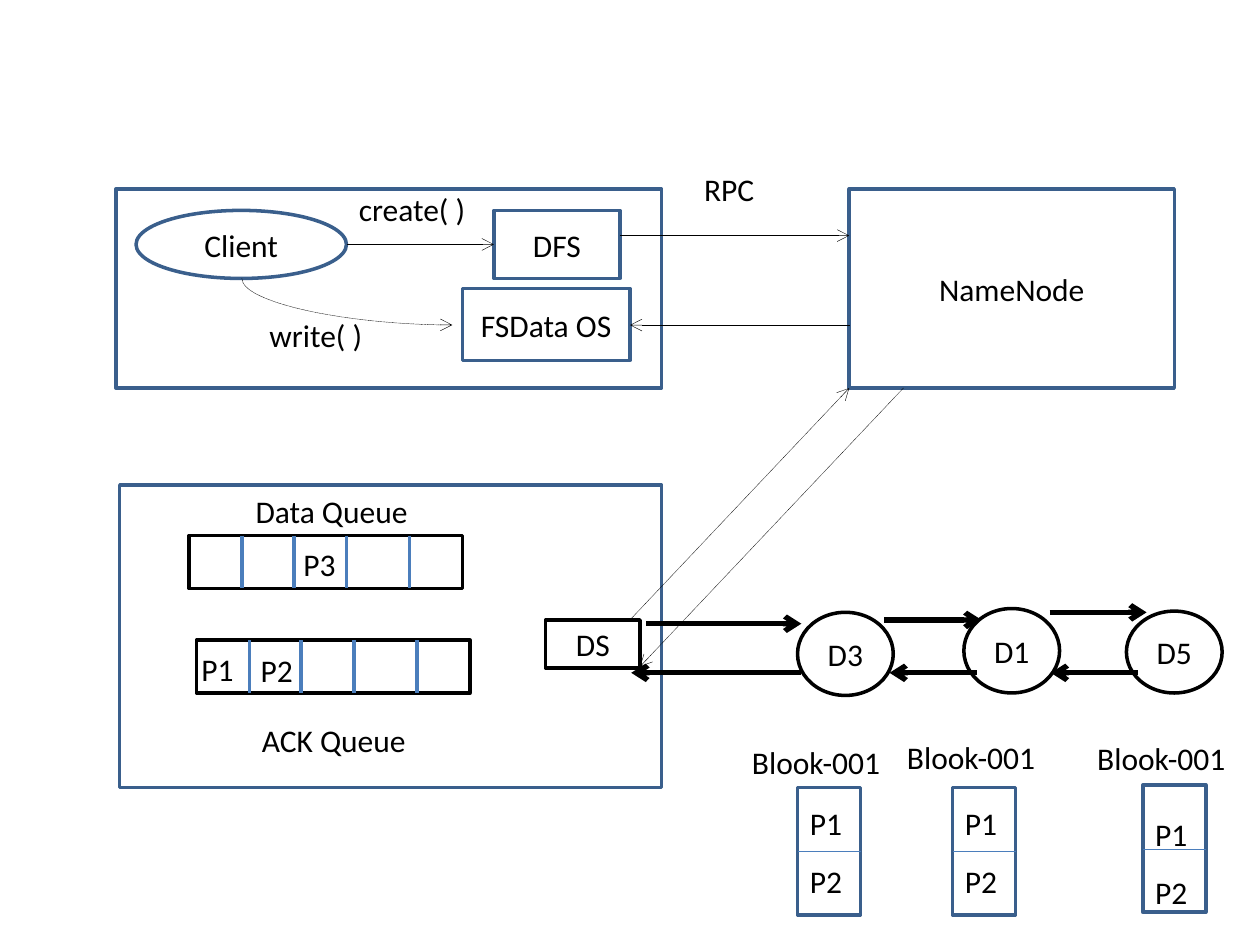
"""Build a slide showing how a client writes a block through queues and data nodes."""
from lxml.etree import SubElement
from pptx import Presentation
from pptx.dml.color import RGBColor
from pptx.enum.dml import MSO_LINE
from pptx.enum.shapes import MSO_CONNECTOR, MSO_SHAPE
from pptx.enum.text import MSO_ANCHOR, MSO_AUTO_SIZE, PP_ALIGN
from pptx.oxml.ns import qn
from pptx.util import Inches, Pt

THEME = dict(font="Calibri", size=18, ink="000000", paper="FFFFFF", edge="3A5F8C",
             rule="4B7EBC", thin=0.25, hair=0.75, frame=2, split=2.25, bold=3)
RECT, OVAL, PROC = MSO_SHAPE.RECTANGLE, MSO_SHAPE.OVAL, MSO_SHAPE.FLOWCHART_PROCESS

UPPER = [
    (RECT, "", (0.92, 1.5, 4.33, 1.58), "edge", None),
    (OVAL, "Client", (1.08, 1.67, 1.67, 0.54), "edge", None),
    (RECT, "DFS", (3.92, 1.67, 1, 0.54), "edge", None),
    (RECT, "NameNode", (6.74, 1.5, 2.58, 1.58), "edge", None),
    (PROC, "FSData OS", (3.67, 2.29, 1.33, 0.57), "edge", "paper"),
    (PROC, "", (0.95, 3.85, 4.3, 2.4), "edge", "paper"),
    (PROC, "DS", (4.33, 4.92, 0.75, 0.38), "ink", "paper"),
]
NODES = [
    (OVAL, "D3", (6.33, 4.86, 0.76, 0.66), "ink", "paper"),
    (OVAL, "D1", (7.65, 4.83, 0.76, 0.67), "ink", "paper"),
    (OVAL, "D5", (8.94, 4.85, 0.76, 0.65), "ink", "paper"),
]
CALLS = [
    (2.75, 1.94, 3.92, 1.94), (4.92, 1.87, 6.74, 1.87), (6.74, 2.58, 5, 2.58),
    (5, 4.92, 6.74, 3.08), (7.17, 3.08, 5.08, 5.29),
]
PIPES = [
    (5.13, 4.95, 6.36, 4.95), (7.02, 4.92, 7.79, 4.92), (8.33, 4.86, 9.1, 4.86),
    (9.03, 5.34, 8.34, 5.34), (7.75, 5.34, 7.06, 5.34), (6.36, 5.34, 5.01, 5.34),
]
LABELS = [
    ("create( )", 2.75, 1.46, 1.33, True), ("RPC", 5.49, 1.3, 0.85, True),
    ("write( )", 2.04, 2.46, 0.95, False), ("Data Queue", 1.93, 3.86, 1.43, False),
    ("ACK Queue", 1.98, 5.67, 1.36, False), ("P3", 2.31, 4.28, 0.46, False),
    ("P2", 1.97, 5.12, 0.46, False), ("P1", 1.5, 5.11, 0.46, False),
]
QUEUES = [(1.5, 4.25), (1.56, 5.08)]
SLOTS = [0.42, 0.83, 1.25, 1.75]
BLOCKS = [(6.33, 6.25, 5.85, 6.33), (7.56, 6.25, 5.81, 6.33), (9.07, 6.23, 5.82, 6.42)]
PACKS = ["P1", "P2"]


def tint(name):
    return RGBColor.from_string(THEME[name])


def write(frame, text, align=PP_ALIGN.LEFT, anchor=MSO_ANCHOR.TOP, wrap=True):
    frame.word_wrap = wrap
    frame.vertical_anchor = anchor
    para = frame.paragraphs[0]
    para.alignment = align
    run = para.add_run()
    run.text = text
    run.font.name, run.font.size = THEME["font"], Pt(THEME["size"])
    run.font.color.rgb = tint("ink")


def label(slide, text, left, top, width, wrap=False):
    box = slide.shapes.add_textbox(*map(Inches, (left, top, width, 0.4)))
    write(box.text_frame, text, wrap=wrap)
    box.text_frame.auto_size = MSO_AUTO_SIZE.SHAPE_TO_FIT_TEXT


def node(slide, kind, text, place, edge, fill):
    shape = slide.shapes.add_shape(kind, *map(Inches, place))
    shape.shadow.inherit = False
    if fill:
        shape.fill.solid()
        shape.fill.fore_color.rgb = tint(fill)
    else:
        shape.fill.background()
    shape.line.color.rgb = tint(edge)
    shape.line.width = Pt(THEME["frame"])
    if text:
        write(shape.text_frame, text, align=PP_ALIGN.CENTER, anchor=MSO_ANCHOR.MIDDLE)


def link(slide, ends, color="ink", width="thin", arrow=True, kind=MSO_CONNECTOR.STRAIGHT):
    line = slide.shapes.add_connector(kind, *map(Inches, ends))
    line.line.color.rgb = tint(color)
    line.line.width = Pt(THEME[width])
    if width == "thin":
        line.line.dash_style = MSO_LINE.ROUND_DOT
    props = line._element.spPr
    if arrow:
        SubElement(props.find(qn("a:ln")), qn("a:tailEnd"), type="arrow")
    SubElement(props, qn("a:effectLst"))
    return props


def bend(slide):
    props = link(slide, (2.94, 1.56, 2.57, 3.23), kind=MSO_CONNECTOR.CURVE)
    props.find(qn("a:xfrm")).set("rot", str(270 * 60000))
    props.find(qn("a:prstGeom")).set("prst", "curvedConnector2")


def queue(slide, left, top):
    node(slide, PROC, "", (left, top, 2.17, 0.42), "ink", "paper")
    for slot in SLOTS:
        x = left + slot
        link(slide, (x, top, x, top + 0.42), color="rule", width="split", arrow=False)


def block(slide, left, top, head, first):
    node(slide, PROC, "", (left, top, 0.5, 1.01), "edge", "paper")
    mid = top + 0.51
    link(slide, (left, mid, left + 0.5, mid), color="rule", width="hair", arrow=False)
    label(slide, "Blook-001", left - 0.46, head, 1.24)
    for i, pack in enumerate(PACKS):
        label(slide, pack, left, first + 0.46 * i, 0.46)


def main():
    deck = Presentation()
    deck.slide_width, deck.slide_height = Inches(10), Inches(7.5)
    slide = deck.slides.add_slide(deck.slide_layouts[6])
    for item in UPPER:
        node(slide, *item)
    for spot in QUEUES:
        queue(slide, *spot)
    for ends in CALLS:
        link(slide, ends)
    bend(slide)
    for item in LABELS:
        label(slide, *item)
    for item in NODES:
        node(slide, *item)
    for item in BLOCKS:
        block(slide, *item)
    for ends in PIPES:
        link(slide, ends, width="bold")
    deck.save("out.pptx")


if __name__ == "__main__":
    main()
